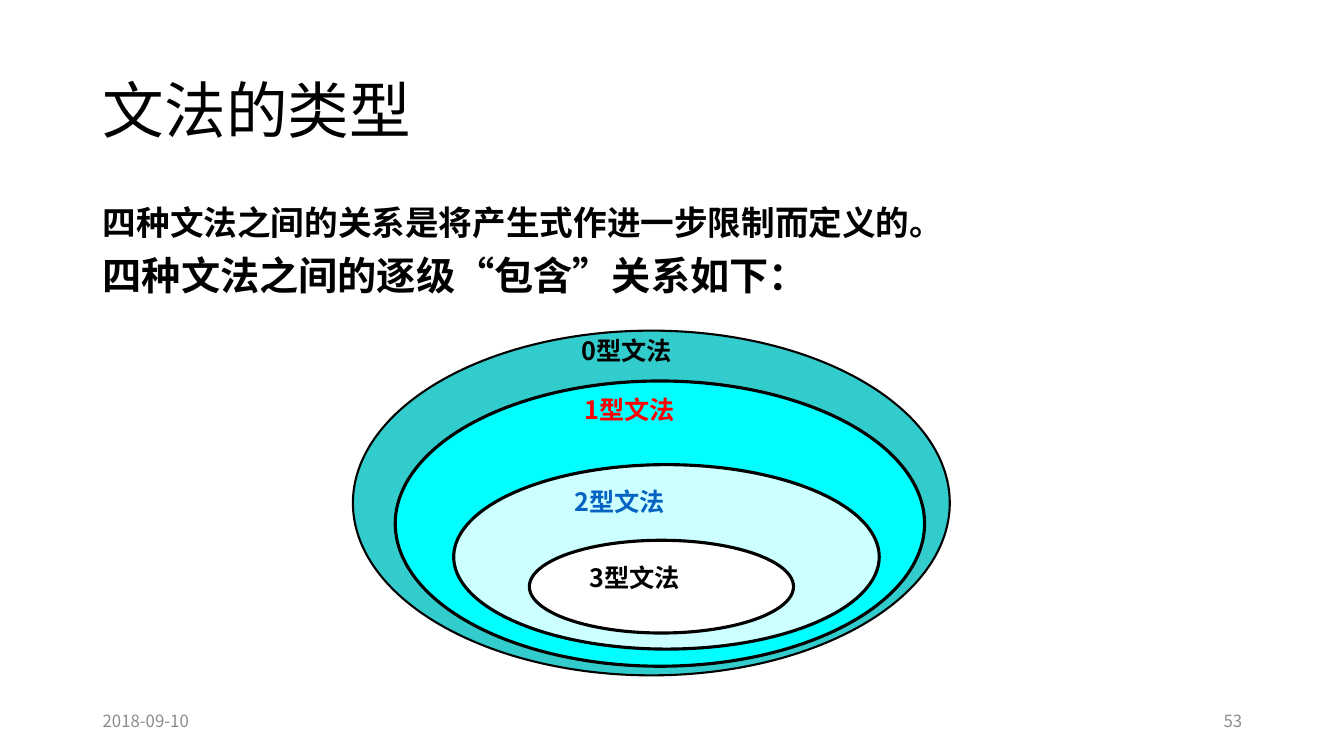
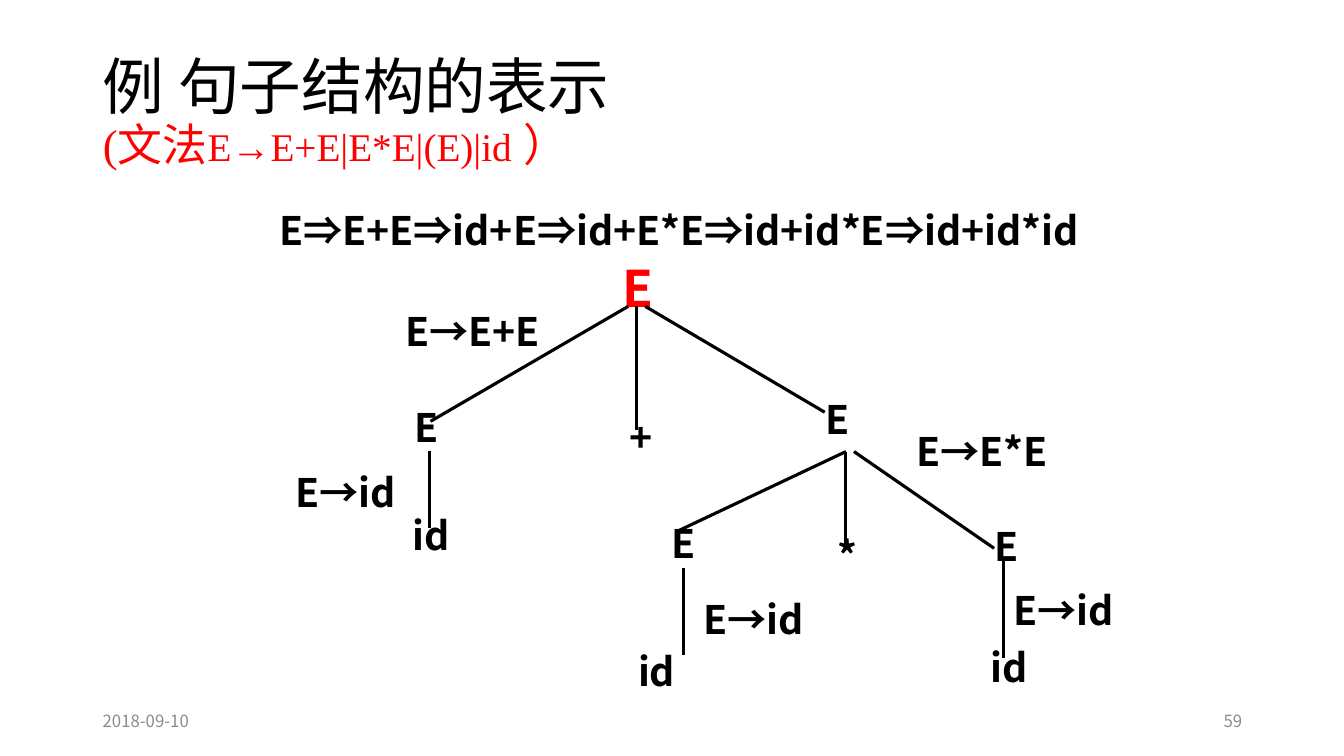
from lxml.etree import SubElement
from pptx import Presentation
from pptx.dml.color import RGBColor
from pptx.enum.shapes import MSO_CONNECTOR as LineKind, MSO_SHAPE as Preset
from pptx.enum.text import MSO_ANCHOR as Anchor, MSO_AUTO_SIZE as Fit, PP_ALIGN as Align
from pptx.oxml.ns import qn
from pptx.util import Inches, Pt

BLACK = RGBColor(0x00, 0x00, 0x00)
WHITE = RGBColor(0xFF, 0xFF, 0xFF)
RED = RGBColor(0xFF, 0x00, 0x00)
BLUE = RGBColor(0x05, 0x63, 0xC1)
GREY = RGBColor(0x8C, 0x8C, 0x8C)
TEAL = RGBColor(0x33, 0xCC, 0xCC)
CYAN = RGBColor(0x00, 0xFF, 0xFF)
PALE = RGBColor(0xCC, 0xFF, 0xFF)
SANS, SERIF = "Noto Sans CJK SC", "Times New Roman"

WIDTH, HEIGHT = 13.33, 7.5
MARGIN = 0.92
CONTENT = 11.5
TITLE_AT = (MARGIN, 0.4, CONTENT, 1.45)
BODY_AT = (MARGIN, 2, CONTENT, 4.76)
DATE = "2018-09-10"
FOOTER_TOP, FOOTER_WIDTH, FOOTER_HEIGHT = 6.95, 3, 0.4

# A paragraph is a list of lines, a line is a list of (text, size, colour).
TYPES_TITLE = [[("文法的类型", 44, BLACK)]]
TYPES_BODY = [("四种文法之间的关系是将产生式作进一步限制而定义的。", 24),
              ("四种文法之间的逐级“包含”关系如下：", 28)]
# (ellipse place, fill, line width, label, label left and top, label colour)
GRAMMARS = [
    ((3.5, 3.28, 5.92, 3.42), TEAL, 1.5, "0型文法", (5.67, 3.28), BLACK),
    ((3.92, 3.78, 5.25, 2.83), CYAN, 2.25, "1型文法", (5.7, 3.86), RED),
    ((4.5, 4.61, 4.22, 1.83), PALE, 2.25, "2型文法", (5.6, 4.78), BLUE),
    ((5.25, 5.36, 2.62, 0.92), WHITE, 2.25, "3型文法", (5.75, 5.53), BLACK),
]
LABEL_SIZE = (1.72, 0.4)

TREE_TITLE = [[("例 句子结构的表示", 44, BLACK)],
              [("(文法", 32, RED), ("E→E+E|E*E|(E)|id", 28, RED), (" ）", 32, RED)]]
DERIVATION = "E⇒E+E⇒id+E⇒id+E*E⇒id+id*E⇒id+id*id"
DERIVATION_AT = (2.67, 1.95, 8.25, 0.61)
ROOT_AT = (6.08, 2.44, 1.33, 0.76)
NODES = [
    ("E", 4.01, 3.91), ("+", 6.14, 4), ("E", 8.09, 3.83), ("id", 3.99, 4.98),
    ("E", 6.56, 5.06), ("*", 8.21, 5.18), ("E", 9.77, 5.09),
    ("id", 6.23, 6.33), ("id", 9.73, 6.29),
]
RULES = [
    ("E→E+E", 3.92, 2.95), ("E→id", 2.83, 4.55), ("E→E*E", 8.99, 4.14),
    ("E→id", 6.88, 5.81), ("E→id", 9.95, 5.72),
]
NODE_SIZE = (1.68, 0.61)
BRANCHES = [
    (6.23, 3.04, 4.27, 4.18), (6.31, 3.04, 6.31, 4.27), (6.4, 3.04, 8.18, 4.09),
    (4.26, 4.47, 4.26, 5.24), (8.39, 4.48, 6.74, 5.26), (8.39, 4.48, 8.39, 5.44),
    (8.47, 4.48, 9.86, 5.44), (6.78, 5.64, 6.78, 6.5), (9.95, 5.55, 9.95, 6.53),
]


def apply(target, formats):
    for name, value in formats.items():
        setattr(target, name, value)


def place(shape, at):
    apply(shape, dict(zip(("left", "top", "width", "height"), map(Inches, at))))


def add_span(para, text, size, color, font=SANS, bold=False):
    span = para.add_run()
    span.text = text
    apply(span.font, {"name": font, "size": Pt(size), "bold": bold})
    span.font.color.rgb = color
    SubElement(span.font._element, qn("a:ea")).set("typeface", SANS)


def add_text(page, text, at, size, color, bold=True, anchor=Anchor.TOP,
             align=Align.LEFT, spacing=1.0, fit=Fit.SHAPE_TO_FIT_TEXT):
    frame = page.shapes.add_textbox(*map(Inches, at)).text_frame
    apply(frame, {"word_wrap": True, "auto_size": fit, "vertical_anchor": anchor})
    para = frame.paragraphs[0]
    apply(para, {"alignment": align, "line_spacing": spacing})
    add_span(para, text, size, color, bold=bold)


def add_page(deck, layout, title_lines, number):
    """Add a slide with the shared title style, date and page number."""
    page = deck.slides.add_slide(deck.slide_layouts.get_by_name(layout))
    title = page.shapes.title
    place(title, TITLE_AT)
    apply(title.text_frame, {"vertical_anchor": Anchor.MIDDLE, "auto_size": Fit.NONE})
    para = title.text_frame.paragraphs[0]
    apply(para, {"alignment": Align.LEFT, "line_spacing": 0.9})
    for index, line in enumerate(title_lines):
        if index:
            para.add_line_break()
        for text, size, color in line:
            add_span(para, text, size, color, SERIF)
    number_left = MARGIN + CONTENT - FOOTER_WIDTH
    for text, left, align in ((DATE, MARGIN, Align.LEFT), (number, number_left, Align.RIGHT)):
        add_text(page, text, (left, FOOTER_TOP, FOOTER_WIDTH, FOOTER_HEIGHT), 12, GREY,
                 bold=False, anchor=Anchor.MIDDLE, align=align, fit=Fit.NONE)
    return page


def fill_body(body, lines):
    place(body, BODY_AT)
    frame = body.text_frame
    frame.auto_size = Fit.NONE
    for index, (text, size) in enumerate(lines):
        para = frame.add_paragraph() if index else frame.paragraphs[0]
        apply(para, {"line_spacing": 0.9, "space_before": Pt(10)})
        props = para._p.get_or_add_pPr()
        props.set("marL", "0")
        props.set("indent", "0")
        SubElement(props, qn("a:buNone"))
        add_span(para, text, size, BLACK, SERIF, bold=True)


def add_ellipse(page, at, fill, line_width):
    ellipse = page.shapes.add_shape(Preset.OVAL, *map(Inches, at))
    ellipse.shadow.inherit = False
    ellipse.fill.solid()
    ellipse.fill.fore_color.rgb = fill
    ellipse.line.color.rgb = BLACK
    ellipse.line.width = Pt(line_width)


def add_branch(page, ends):
    branch = page.shapes.add_connector(LineKind.STRAIGHT, *map(Inches, ends))
    branch.line.color.rgb = BLACK
    branch.line.width = Pt(2.25)
    SubElement(branch._element.spPr, qn("a:effectLst"))


def build_types(deck):
    page = add_page(deck, "Title and Content", TYPES_TITLE, "53")
    fill_body(page.placeholders[1], TYPES_BODY)
    for at, fill, line_width, label, corner, color in GRAMMARS:
        add_ellipse(page, at, fill, line_width)
        add_text(page, label, corner + LABEL_SIZE, 18, color)


def build_tree(deck):
    page = add_page(deck, "Title Only", TREE_TITLE, "59")
    add_text(page, DERIVATION, DERIVATION_AT, 28, BLACK, spacing=1.1)
    add_text(page, "E", ROOT_AT, 36, RED, spacing=1.1)
    for text, left, top in NODES + RULES:
        add_text(page, text, (left, top) + NODE_SIZE, 28, BLACK, spacing=1.1)
    for ends in BRANCHES:
        add_branch(page, ends)


def main():
    deck = Presentation()
    apply(deck, {"slide_width": Inches(WIDTH), "slide_height": Inches(HEIGHT)})
    build_types(deck)
    build_tree(deck)
    deck.save("out.pptx")


if __name__ == "__main__":
    main()
